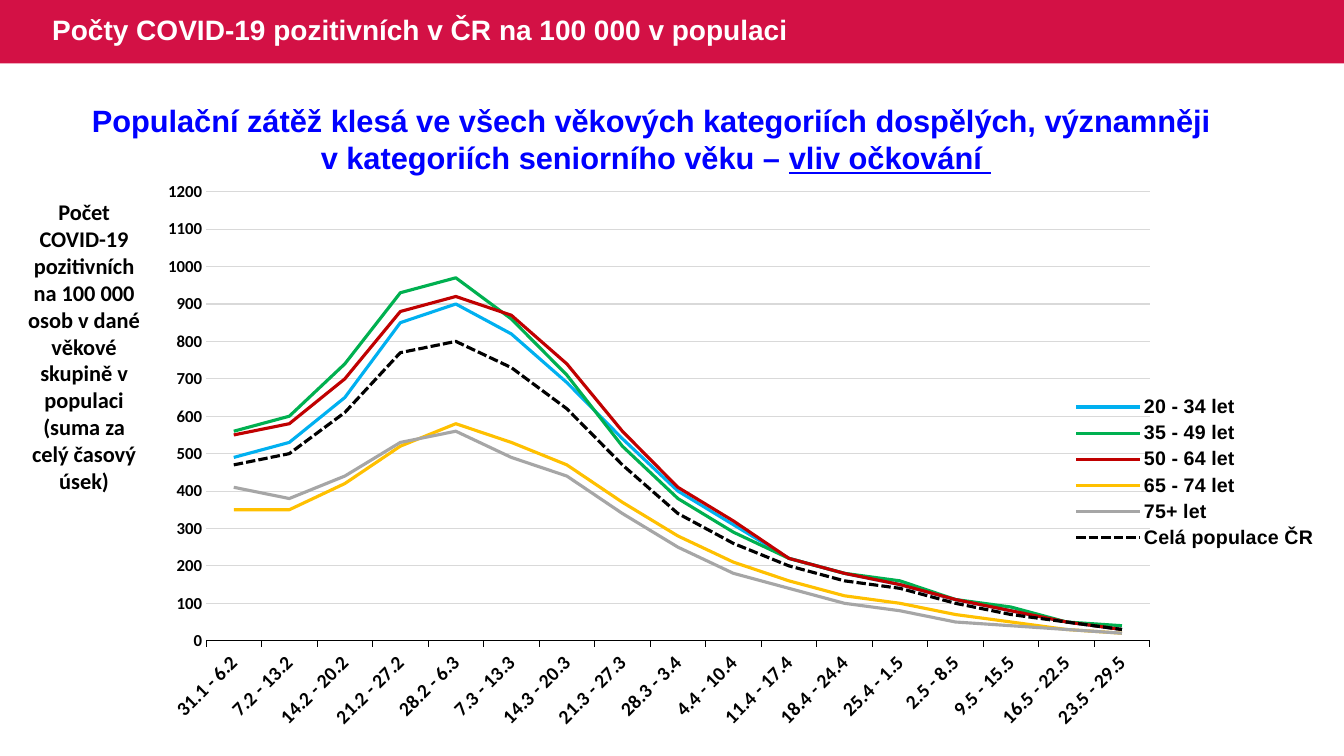
"""Build the slide on COVID-19 positive counts per 100 000 people by age group."""
import pptx
import pptx.chart.data
import pptx.dml.color
import pptx.enum.chart
import pptx.enum.dml
import pptx.enum.shapes
import pptx.enum.text
import pptx.oxml
import pptx.oxml.ns
import pptx.util

Pt = pptx.util.Pt
ALIGN = pptx.enum.text.PP_ALIGN
ANCHOR = pptx.enum.text.MSO_ANCHOR

COLORS = {
    "band": "D31145", "white": "FFFFFF", "black": "000000", "headline": "0000FF",
    "grid": "D9D9D9", "blue": "00B0F0", "green": "00B050", "red": "C00000",
    "yellow": "FFC000", "grey": "A6A6A6",
}
WEEKS = [
    "31.1 - 6.2", "7.2 - 13.2", "14.2 - 20.2", "21.2 - 27.2", "28.2 - 6.3", "7.3 - 13.3",
    "14.3 - 20.3", "21.3 - 27.3", "28.3 - 3.4", "4.4 - 10.4", "11.4 - 17.4", "18.4 - 24.4",
    "25.4 - 1.5", "2.5 - 8.5", "9.5 - 15.5", "16.5 - 22.5", "23.5 - 29.5",
]
AGE_GROUPS = [
    ("20 - 34 let", "blue",
     [490, 530, 650, 850, 900, 820, 690, 540, 400, 310, 220, 180, 150, 110, 80, 50, 30]),
    ("35 - 49 let", "green",
     [560, 600, 740, 930, 970, 860, 710, 520, 380, 290, 220, 180, 160, 110, 90, 50, 40]),
    ("50 - 64 let", "red",
     [550, 580, 700, 880, 920, 870, 740, 560, 410, 320, 220, 180, 150, 110, 80, 50, 30]),
    ("65 - 74 let", "yellow",
     [350, 350, 420, 520, 580, 530, 470, 370, 280, 210, 160, 120, 100, 70, 50, 30, 20]),
    ("75+ let", "grey",
     [410, 380, 440, 530, 560, 490, 440, 340, 250, 180, 140, 100, 80, 50, 40, 30, 20]),
    ("Celá populace ČR", "black",
     [470, 500, 610, 770, 800, 730, 620, 470, 340, 260, 200, 160, 140, 100, 70, 50, 30]),
]
PLOT_AREA = {"x": 0.045, "y": 0.026, "w": 0.803, "h": 0.759}


def rgb(color):
    return pptx.dml.color.RGBColor.from_string(COLORS[color])


def style_font(font, size, color="black", name="Arial"):
    font.size = Pt(size)
    font.bold = True
    font.name = name
    font.color.rgb = rgb(color)


def style_line(line, color, width):
    line.color.rgb = rgb(color)
    line.width = Pt(width)


def add_band(slide, left, top, width, height):
    band = slide.shapes.add_shape(
        pptx.enum.shapes.MSO_SHAPE.RECTANGLE, Pt(left), Pt(top), Pt(width), Pt(height))
    band.shadow.inherit = False
    band.fill.solid()
    band.fill.fore_color.rgb = rgb("band")
    band.line.fill.background()


def add_text(slide, paragraphs, left, top, width, height, *, size, color="black",
             font="Arial", align=ALIGN.CENTER, anchor=ANCHOR.TOP, line_spacing=None):
    """Add paragraphs, each a list of (text, underlined) pairs."""
    frame = slide.shapes.add_textbox(Pt(left), Pt(top), Pt(width), Pt(height)).text_frame
    frame.word_wrap = True
    frame.vertical_anchor = anchor
    for index, pieces in enumerate(paragraphs):
        paragraph = frame.add_paragraph() if index else frame.paragraphs[0]
        paragraph.alignment = align
        paragraph.line_spacing = line_spacing
        for text, underlined in pieces:
            run = paragraph.add_run()
            run.text = text
            style_font(run.font, size, color, font)
            if underlined:
                run.font.underline = True


def place_plot(chart):
    """Fix the inner plot area as fractions of the chart."""
    plot_area = chart._chartSpace.find(".//" + pptx.oxml.ns.qn("c:plotArea"))
    for old_layout in plot_area.findall(pptx.oxml.ns.qn("c:layout")):
        plot_area.remove(old_layout)
    modes = '<c:xMode val="edge"/><c:yMode val="edge"/>'
    sizes = "".join(f'<c:{side} val="{share}"/>' for side, share in PLOT_AREA.items())
    plot_area.insert(0, pptx.oxml.parse_xml(
        f'<c:layout {pptx.oxml.ns.nsdecls("c")}><c:manualLayout>'
        f'<c:layoutTarget val="inner"/>{modes}{sizes}</c:manualLayout></c:layout>'))


def style_axes(chart):
    tick_mark = pptx.enum.chart.XL_TICK_MARK
    weeks = chart.category_axis
    weeks.major_tick_mark = tick_mark.OUTSIDE
    weeks.has_major_gridlines = False
    style_line(weeks.format.line, "black", 0.75)
    style_font(weeks.tick_labels.font, 14, name="Calibri")
    label_body = weeks._element.find(".//" + pptx.oxml.ns.qn("a:bodyPr"))
    label_body.set("rot", "-2700000")
    label_body.set("vert", "horz")

    counts = chart.value_axis
    counts.minimum_scale = 0
    counts.maximum_scale = 1200
    counts.major_unit = 100
    counts.major_tick_mark = tick_mark.NONE
    counts.format.line.fill.background()
    counts.has_major_gridlines = True
    style_line(counts.major_gridlines.format.line, "grid", 0.75)
    counts.tick_labels.number_format = "###0"
    counts.tick_labels.number_format_is_linked = False
    style_font(counts.tick_labels.font, 12, name="Calibri")


def add_age_chart(slide, left, top, width, height):
    data = pptx.chart.data.CategoryChartData(number_format="###0")
    data.categories = WEEKS
    for name, _, counts in AGE_GROUPS:
        data.add_series(name, counts)
    chart = slide.shapes.add_chart(
        pptx.enum.chart.XL_CHART_TYPE.LINE,
        Pt(left), Pt(top), Pt(width), Pt(height), data).chart
    style_font(chart.font, 14)
    chart.has_title = False
    chart.has_legend = True
    chart.legend.position = pptx.enum.chart.XL_LEGEND_POSITION.RIGHT
    chart.legend.include_in_layout = False
    style_font(chart.legend.font, 14)
    plot = chart.plots[0]
    plot.vary_by_categories = False
    for series, (_, color, _) in zip(plot.series, AGE_GROUPS):
        series.smooth = False
        style_line(series.format.line, color, 2.25)
    plot.series[-1].format.line.dash_style = pptx.enum.dml.MSO_LINE.SQUARE_DOT
    style_axes(chart)
    place_plot(chart)


def main():
    deck = pptx.Presentation()
    deck.slide_width, deck.slide_height = Pt(960), Pt(540)
    slide = deck.slides.add_slide(deck.slide_layouts[6])
    add_band(slide, 0, 0, 960, 45.4)
    add_text(slide, [[("Počty COVID-19 pozitivních v ČR na 100 000 v populaci", False)]],
             30.2, 0, 602.6, 45.4, size=20, color="white", align=ALIGN.LEFT,
             anchor=ANCHOR.MIDDLE, line_spacing=0.9)
    add_age_chart(slide, 109.4, 126, 839.5, 422.6)
    add_text(slide, [[("Počet COVID-19 pozitivních na 100 000 osob v dané věkové skupině "
                       "v populaci (suma za celý časový úsek)", False)]],
             10.8, 138.2, 98.6, 220.3, size=16, font="Calibri")
    add_text(slide, [
        [("Populační zátěž klesá ve všech věkových kategoriích dospělých, významněji ", False)],
        [("v kategoriích seniorního věku – ", False), ("vliv očkování ", True)],
    ], 21.6, 69.1, 893.5, 60.5, size=22, color="headline")
    deck.save("out.pptx")


if __name__ == "__main__":
    main()
